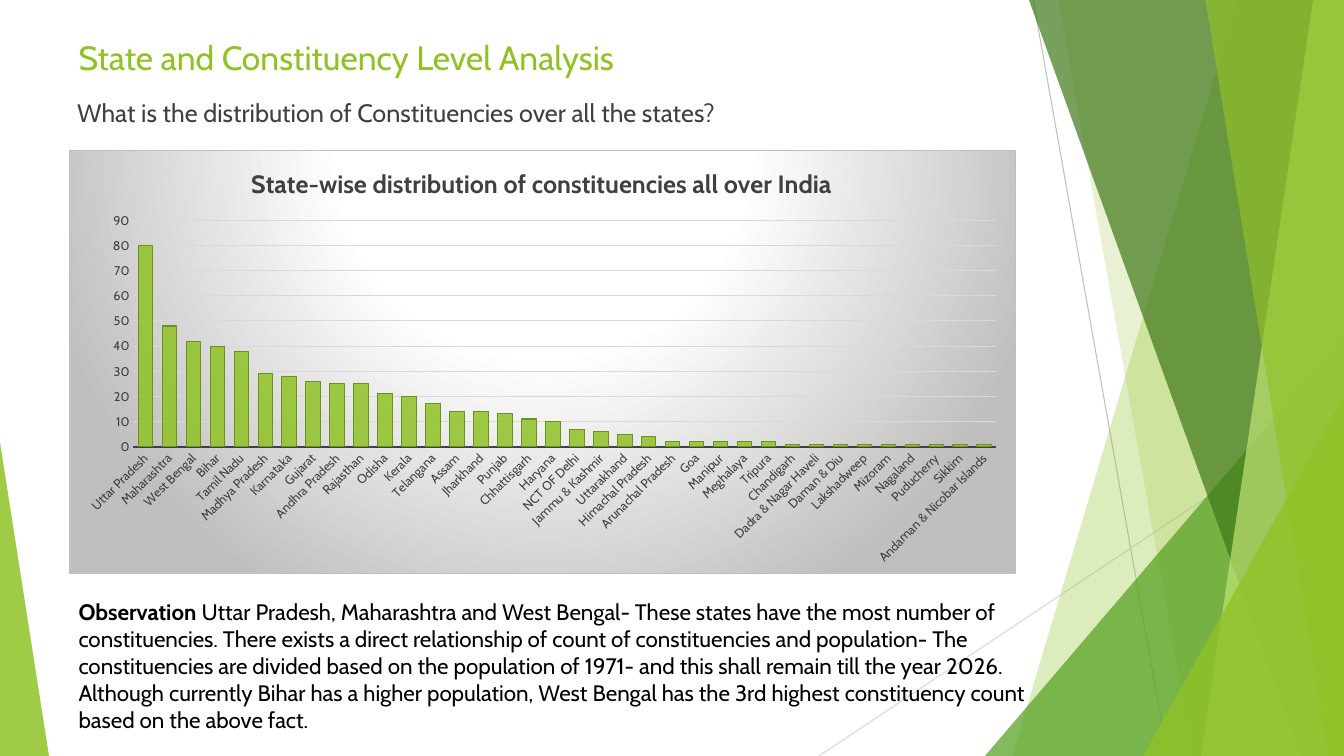
"""Build the slide on how constituencies are spread over the Indian states."""
from lxml.etree import SubElement
from pptx import Presentation
from pptx.chart.data import CategoryChartData
from pptx.dml.color import RGBColor
from pptx.enum.chart import XL_CHART_TYPE as ChartType, XL_TICK_MARK as TickMark
from pptx.enum.shapes import MSO_CONNECTOR as Connector, MSO_SHAPE as Shape
from pptx.enum.text import MSO_ANCHOR as Anchor
from pptx.oxml import parse_xml
from pptx.oxml.ns import nsdecls, qn
from pptx.util import Pt

FONT = "Cabin"
LIME = RGBColor(0x90, 0xC2, 0x26)
LEAF = RGBColor(0x54, 0xA0, 0x21)
FOREST = RGBColor(0x3F, 0x78, 0x19)
PALE = RGBColor(0xC0, 0xE4, 0x74)
OLIVE = RGBColor(0x6C, 0x92, 0x1D)
DARK = RGBColor(0x40, 0x40, 0x40)
BLACK = RGBColor(0, 0, 0)
SILVER = RGBColor(0xBF, 0xBF, 0xBF)
MIST = RGBColor(0xD9, 0xD9, 0xD9)

WIDTH, HEIGHT = 960, 540
CHART_BOX = (49, 107, 677, 303)
CHART_TITLE_AT = (127, 8.25)
PLOT_BOX = (46, 50.25, 617, 162)

HEADING = "State and Constituency Level Analysis"
QUESTION = "What is the distribution of Constituencies over all the states?"
CHART_TITLE = "State-wise distribution of constituencies all over India"
OBSERVATION = [
    ("Observation", True),
    (" Uttar Pradesh, Maharashtra and West Bengal- These states have the most "
     "number of constituencies. There exists a direct relationship of count of "
     "constituencies and population- The constituencies are divided based on the "
     "population of 1971- and this shall remain till the year 2026. Although "
     "currently Bihar has a higher population, West Bengal has the 3rd highest "
     "constituency count based on the above fact.", False),
]
SEATS = {
    "Uttar Pradesh": 80, "Maharashtra": 48, "West Bengal": 42, "Bihar": 40,
    "Tamil Nadu": 38, "Madhya Pradesh": 29, "Karnataka": 28, "Gujarat": 26,
    "Andhra Pradesh": 25, "Rajasthan": 25, "Odisha": 21, "Kerala": 20,
    "Telangana": 17, "Assam": 14, "Jharkhand": 14, "Punjab": 13,
    "Chhattisgarh": 11, "Haryana": 10, "NCT OF Delhi": 7, "Jammu & Kashmir": 6,
    "Uttarakhand": 5, "Himachal Pradesh": 4, "Arunachal Pradesh": 2, "Goa": 2,
    "Manipur": 2, "Meghalaya": 2, "Tripura": 2, "Chandigarh": 1,
    "Dadra & Nagar Haveli": 1, "Daman & Diu": 1, "Lakshadweep": 1, "Mizoram": 1,
    "Nagaland": 1, "Puducherry": 1, "Sikkim": 1, "Andaman & Nicobar Islands": 1,
}

RAYS = [((738, 0), (834, HEIGHT), SILVER), ((WIDTH, 290), (585, HEIGHT), MIST)]
BAND, PEAK = "band", "peak"
FACETS = [
    (BAND, (884, 723), LIME, 30),
    (BAND, (756, 852), LIME, 20),
    (PEAK, (703.5, 240, 256.5, 1), LEAF, 72),
    (BAND, (735, 929.5), FOREST, 70),
    (BAND, (938, 858), PALE, 70),
    (BAND, (861, 949), LIME, 65),
    (PEAK, (816.5, 283, 143.5, 1), LIME, 80),
    (PEAK, (0, 316, 35, 0), LIME, 85),
]


def set_opacity(element, percent):
    color = element.find(f".//{qn('a:solidFill')}/{qn('a:srgbClr')}")
    SubElement(color, qn("a:alpha"), val=str(percent * 1000))


def add_ray(slide, start, end, color):
    ray = slide.shapes.add_connector(
        Connector.STRAIGHT, *(Pt(v) for v in (*start, *end)))
    ray.line.color.rgb = color
    ray.line.width = Pt(0.75)
    SubElement(ray._element.spPr, qn("a:effectLst"))


def add_facet(slide, kind, outline, color, opacity):
    if kind == BAND:
        top, bottom = outline
        builder = slide.shapes.build_freeform(Pt(top), 0)
        builder.add_line_segments(
            [(Pt(x), Pt(y)) for x, y in
             ((WIDTH, 0), (WIDTH, HEIGHT), (bottom, HEIGHT))], close=True)
        facet = builder.convert_to_shape()
    else:
        left, top, width, apex = outline
        facet = slide.shapes.add_shape(
            Shape.ISOSCELES_TRIANGLE, Pt(left), Pt(top), Pt(width), Pt(HEIGHT - top))
        facet.adjustments[0] = apex
    facet.shadow.inherit = False
    facet.fill.solid()
    facet.fill.fore_color.rgb = color
    facet.line.fill.background()
    set_opacity(facet._element.spPr, opacity)


def style_font(font, size, color, bold=None):
    font.name, font.size, font.bold = FONT, Pt(size), bold
    font.color.rgb = color


def add_text(slide, box, runs, size, color, anchor=Anchor.TOP):
    frame = slide.shapes.add_textbox(*(Pt(v) for v in box)).text_frame
    frame.word_wrap = True
    frame.vertical_anchor = anchor
    paragraph = frame.paragraphs[0]
    style_font(paragraph.font, size, color)
    for text, bold in runs:
        run = paragraph.add_run()
        run.text = text
        run.font.bold = bold


def place(parent, box, **modes):
    """Fix a chart part at a box given in points from the chart's corner."""
    for old in parent.findall(qn("c:layout")):
        parent.remove(old)
    shares = {key: length / CHART_BOX[2 + i % 2]
              for i, (key, length) in enumerate(zip("xywh", box))}
    items = "".join(f'<c:{key} val="{value}"/>'
                    for key, value in {**modes, **shares}.items())
    layout = parse_xml(f'<c:layout {nsdecls("c")}><c:manualLayout>{items}'
                       '</c:manualLayout></c:layout>')
    text = parent.find(qn("c:tx"))
    if text is None:
        parent.insert(0, layout)
    else:
        text.addnext(layout)


def style_backdrop(space):
    stops = "".join(f'<a:gs pos="{pos * 1000}"><a:srgbClr val="{color}"/></a:gs>'
                    for pos, color in ((0, "FFFFFF"), (39, "FFFFFF"), (100, SILVER)))
    space.find(qn("c:chart")).addnext(parse_xml(
        f'<c:spPr {nsdecls("c", "a")}><a:gradFill><a:gsLst>{stops}</a:gsLst>'
        '<a:path path="circle"><a:fillToRect l="50000" t="-80000" r="50000" '
        'b="180000"/></a:path></a:gradFill><a:ln w="9525"><a:solidFill>'
        f'<a:srgbClr val="{SILVER}"/></a:solidFill></a:ln></c:spPr>'))


def add_seat_chart(slide):
    data = CategoryChartData()
    data.categories = list(SEATS)
    data.add_series("Series 1", list(SEATS.values()))
    chart = slide.shapes.add_chart(
        ChartType.COLUMN_CLUSTERED, *(Pt(v) for v in CHART_BOX), data).chart
    style_font(chart.font, 10, BLACK)
    chart.has_legend = False
    chart.has_title = True
    heading = chart.chart_title.text_frame
    heading.text = CHART_TITLE
    style_font(heading.paragraphs[0].font, 18, DARK, True)

    states, counts = chart.category_axis, chart.value_axis
    for axis in (states, counts):
        axis.major_tick_mark = axis.minor_tick_mark = TickMark.NONE
        style_font(axis.tick_labels.font, 9, DARK)
    states.format.line.color.rgb = DARK
    states.format.line.width = Pt(1.5)
    states._element.find(f"{qn('c:txPr')}/{qn('a:bodyPr')}").set("rot", "-2700000")
    counts.minimum_scale, counts.maximum_scale, counts.major_unit = 0, 90, 10
    counts.format.line.fill.background()
    counts.major_gridlines.format.line.color.rgb = MIST
    counts.major_gridlines.format.line.width = Pt(0.75)

    plot = chart.plots[0]
    plot.gap_width = 65
    plot.vary_by_categories = False
    bars = plot.series[0]
    bars.format.fill.solid()
    bars.format.fill.fore_color.rgb = LIME
    bars.format.line.color.rgb = OLIVE
    bars.format.line.width = Pt(0.75)
    set_opacity(bars._element, 85)

    space = chart._chartSpace
    style_backdrop(space)
    place(chart.chart_title._element, CHART_TITLE_AT, xMode="edge", yMode="edge")
    place(space.find(f".//{qn('c:plotArea')}"), PLOT_BOX,
          layoutTarget="inner", xMode="edge", yMode="edge")


def main():
    deck = Presentation()
    deck.slide_width, deck.slide_height = Pt(WIDTH), Pt(HEIGHT)
    slide = deck.slides.add_slide(deck.slide_layouts[6])
    for ray in RAYS:
        add_ray(slide, *ray)
    for facet in FACETS:
        add_facet(slide, *facet)
    add_text(slide, (49, 13.5, 677, 45), [(HEADING, None)], 24, LIME, Anchor.BOTTOM)
    add_text(slide, (48, 66, 677, 53), [(QUESTION, None)], 18, DARK)
    add_seat_chart(slide)
    add_text(slide, (49, 423.75, 723.5, 104.5), OBSERVATION, 16, BLACK)
    deck.save("out.pptx")


if __name__ == "__main__":
    main()
